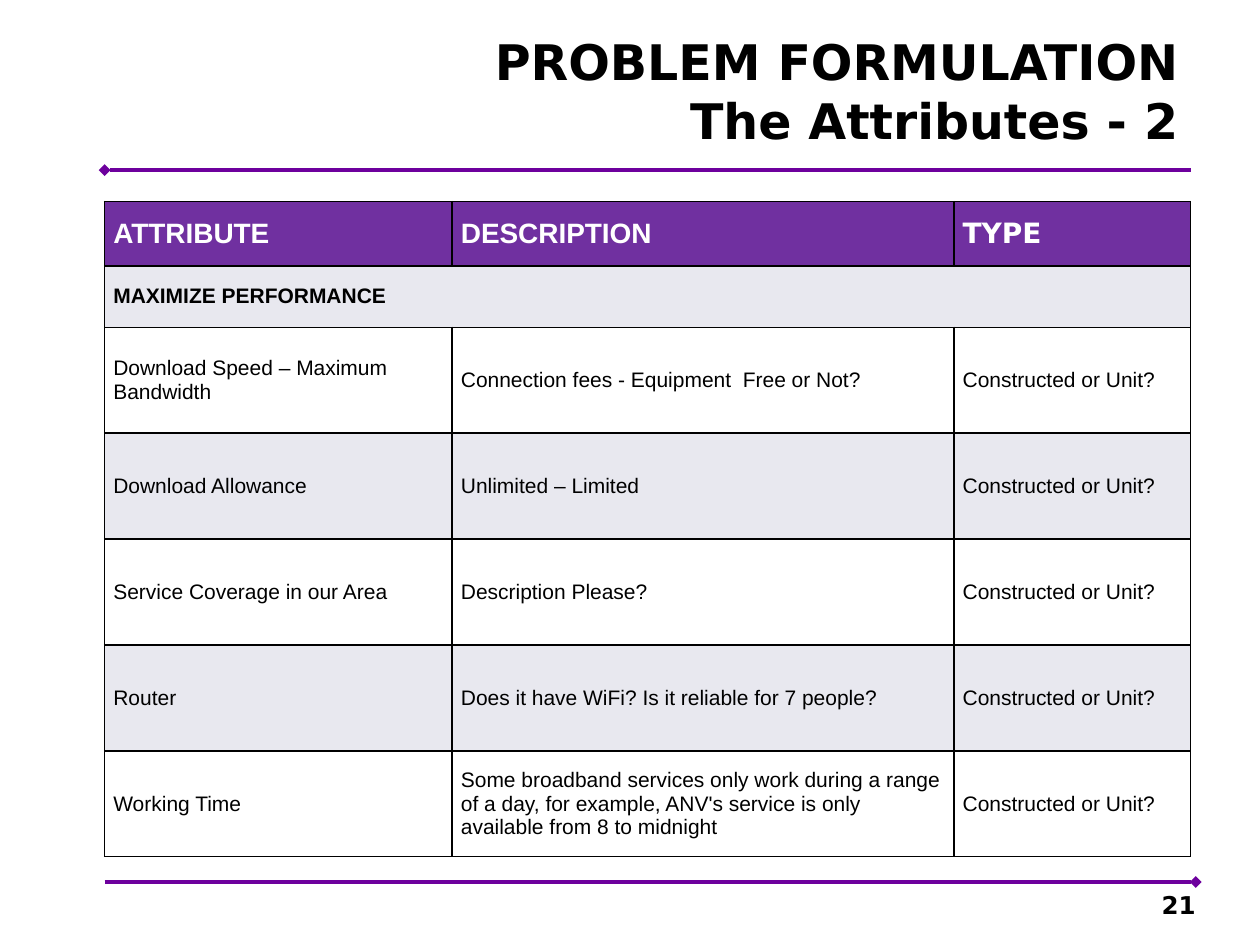
from dataclasses import dataclass

from lxml import etree
from pptx import Presentation
from pptx.dml.color import RGBColor
from pptx.enum.shapes import MSO_CONNECTOR
from pptx.enum.text import MSO_ANCHOR, MSO_AUTO_SIZE, PP_ALIGN
from pptx.oxml.ns import qn
from pptx.util import Inches, Pt

STRAIGHT = MSO_CONNECTOR.STRAIGHT
MIDDLE, BOTTOM = MSO_ANCHOR.MIDDLE, MSO_ANCHOR.BOTTOM
LEFT, RIGHT = PP_ALIGN.LEFT, PP_ALIGN.RIGHT
FIXED = MSO_AUTO_SIZE.NONE


@dataclass(frozen=True)
class Theme:
    rule: str = "6D009D"
    header: str = "7030A0"
    band: str = "E8E8EF"
    paper: str = "FFFFFF"
    ink: str = "000000"
    display_font: str = "DejaVu Sans"
    body_font: str = "Arial"
    title_size: int = 28
    header_size: int = 16
    number_size: int = 14
    body_size: int = 12
    rule_width: float = 2.25
    border_width: float = 1


@dataclass(frozen=True)
class Box:
    """A region in inches."""
    left: float
    top: float
    width: float
    height: float

    def emu(self):
        return [Inches(v) for v in (self.left, self.top, self.width, self.height)]


THEME = Theme()
SLIDE = Box(0, 0, 10, 7.5)
TITLE = Box(2.64, 0.17, 6.81, 1.1)
TABLE = Box(0.83, 1.6, 8.62, 5.2)
FOOTER = Box(0.83, 7, 8.66, 0.35)
TITLE_RULE_Y = 1.35

COLUMN_SHARES = (0.32, 0.462, 0.218)
ROW_SHARES = (0.098, 0.094) + (0.1616,) * 5

HEADINGS = ("ATTRIBUTE", "DESCRIPTION", "TYPE")
GROUP = "MAXIMIZE PERFORMANCE"
ATTRIBUTE_TYPE = "Constructed or Unit?"
ATTRIBUTES = (
    ("Download Speed – Maximum Bandwidth", "Connection fees - Equipment  Free or Not?"),
    ("Download Allowance", "Unlimited – Limited"),
    ("Service Coverage in our Area", "Description Please?"),
    ("Router", "Does it have WiFi? Is it reliable for 7 people?"),
    ("Working Time", "Some broadband services only work during a range of a day, "
                     "for example, ANV's service is only available from 8 to midnight"),
)


def write(frame, text, *, size, font=THEME.body_font, color=THEME.ink, bold=False,
          align=LEFT):
    paragraph = frame.paragraphs[0]
    frame.word_wrap = True
    paragraph.text = text
    paragraph.alignment = align
    for run in paragraph.runs:
        run.font.size = Pt(size)
        run.font.name = font
        run.font.bold = bold
        run.font.color.rgb = RGBColor.from_string(color)


def set_insets(frame, left, top, right, bottom):
    frame.margin_left, frame.margin_top = Inches(left), Inches(top)
    frame.margin_right, frame.margin_bottom = Inches(right), Inches(bottom)


def add_rule(slide, left, right, y, diamond_end):
    """Horizontal line with a diamond at its headEnd (left) or tailEnd (right)."""
    rule = slide.shapes.add_connector(
        STRAIGHT, Inches(left), Inches(y), Inches(right), Inches(y))
    rule.line.width = Pt(THEME.rule_width)
    rule.line.color.rgb = RGBColor.from_string(THEME.rule)
    etree.SubElement(rule.line._get_or_add_ln(), qn(f"a:{diamond_end}"), type="diamond")
    etree.SubElement(rule._element.spPr, qn("a:effectLst"))


def add_title(slide, box, text):
    title = slide.shapes.title
    title.left, title.top, title.width, title.height = box.emu()
    frame = title.text_frame
    frame.auto_size = FIXED
    frame.vertical_anchor = MIDDLE
    set_insets(frame, 0.1, 0.05, 0.1, 0.05)
    write(frame, text, size=THEME.title_size, font=THEME.display_font, bold=True,
          align=RIGHT)
    add_rule(slide, TABLE.left, box.left + box.width, TITLE_RULE_Y, "headEnd")


def add_borders(cell):
    properties = cell._tc.get_or_add_tcPr()
    for side in ("lnL", "lnR", "lnT", "lnB"):
        border = etree.SubElement(properties, qn(f"a:{side}"),
                                  w=str(Pt(THEME.border_width)))
        fill = etree.SubElement(border, qn("a:solidFill"))
        etree.SubElement(fill, qn("a:srgbClr"), val=THEME.ink)


def fill_cell(cell, text, background, **text_format):
    add_borders(cell)
    cell.fill.solid()
    cell.fill.fore_color.rgb = RGBColor.from_string(background)
    cell.vertical_anchor = MIDDLE
    set_insets(cell, 0.07, 0, 0.07, 0)
    write(cell.text_frame, text, **text_format)


def add_attribute_table(slide, box):
    table = slide.shapes.add_table(
        len(ROW_SHARES), len(COLUMN_SHARES), *box.emu()).table
    for column, share in zip(table.columns, COLUMN_SHARES):
        column.width = Inches(box.width * share)
    for row, share in zip(table.rows, ROW_SHARES):
        row.height = Inches(box.height * share)

    for c, heading in enumerate(HEADINGS):
        font = THEME.display_font if heading == "TYPE" else THEME.body_font
        fill_cell(table.cell(0, c), heading, THEME.header, size=THEME.header_size,
                  font=font, color=THEME.paper, bold=True)

    table.cell(1, 0).merge(table.cell(1, len(HEADINGS) - 1))
    for c in range(len(HEADINGS)):
        fill_cell(table.cell(1, c), GROUP if c == 0 else "", THEME.band,
                  size=THEME.body_size, bold=True)

    for r, attribute in enumerate(ATTRIBUTES, start=2):
        background = THEME.band if r % 2 else THEME.paper
        for c, text in enumerate((*attribute, ATTRIBUTE_TYPE)):
            fill_cell(table.cell(r, c), text, background, size=THEME.body_size)


def add_footer(slide, box, number):
    right = box.left + box.width
    add_rule(slide, box.left, right, box.top, "tailEnd")
    number_box = Box(right - 2.33, box.top + 0.06, 2.33, box.height - 0.06)
    frame = slide.shapes.add_textbox(*number_box.emu()).text_frame
    frame.vertical_anchor = BOTTOM
    set_insets(frame, 0.1, 0.05, 0, 0.05)
    write(frame, number, size=THEME.number_size, font=THEME.display_font, bold=True,
          align=RIGHT)


def main():
    deck = Presentation()
    deck.slide_width, deck.slide_height = Inches(SLIDE.width), Inches(SLIDE.height)
    slide = deck.slides.add_slide(deck.slide_layouts.get_by_name("Title Only"))
    add_title(slide, TITLE, "PROBLEM FORMULATION\vThe Attributes - 2")
    add_attribute_table(slide, TABLE)
    add_footer(slide, FOOTER, "21")
    deck.save("out.pptx")


if __name__ == "__main__":
    main()
